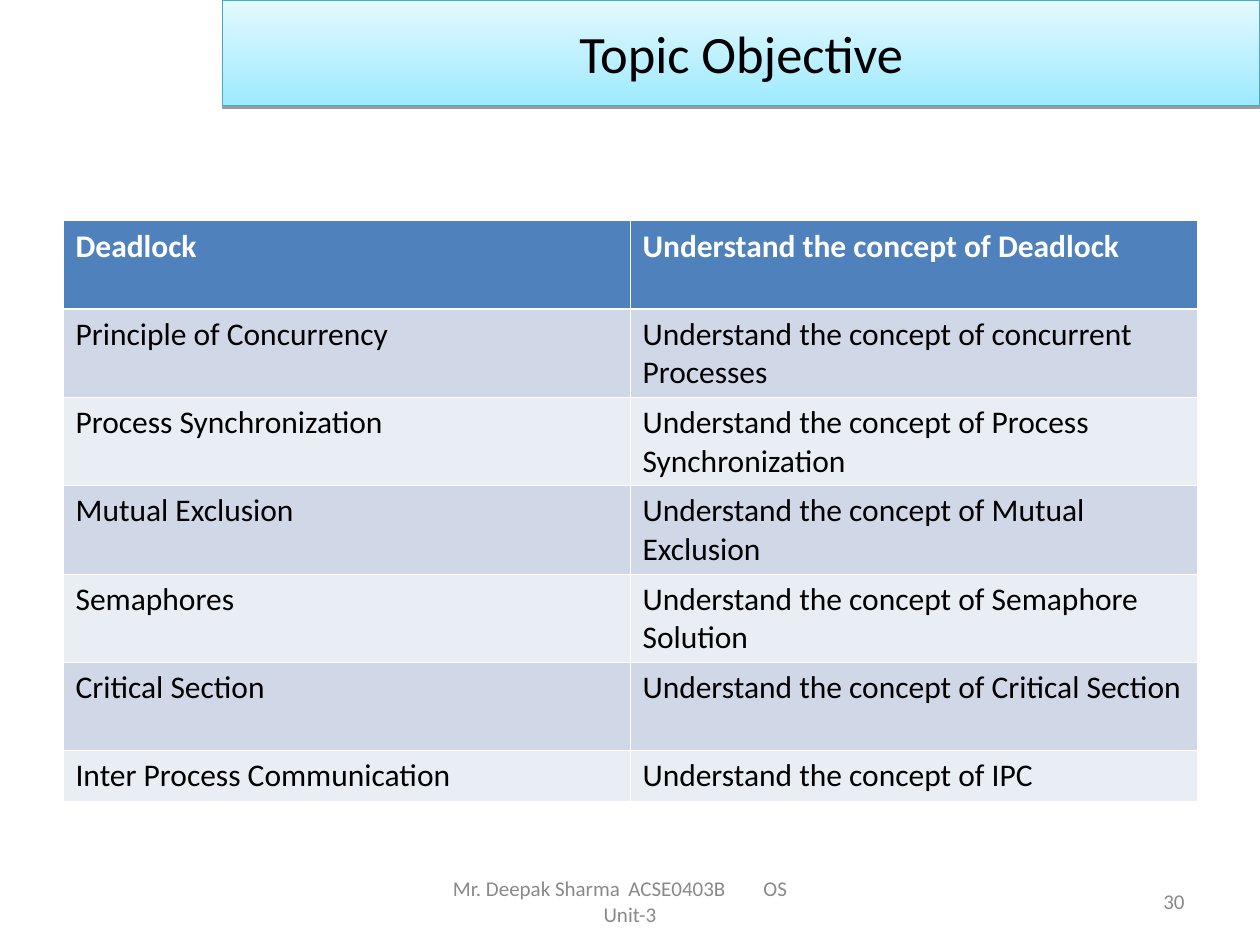
from pptx import Presentation
from pptx.dml.color import RGBColor
from pptx.enum.shapes import MSO_SHAPE
from pptx.enum.text import MSO_ANCHOR, PP_ALIGN
from pptx.oxml import parse_xml
from pptx.oxml.ns import nsdecls
from pptx.util import Cm, Pt

FONT = "Calibri"
BLACK = RGBColor(0x00, 0x00, 0x00)
WHITE = RGBColor(0xFF, 0xFF, 0xFF)
GREY = RGBColor(0x89, 0x89, 0x89)
TEAL = RGBColor(0x46, 0xAA, 0xC5)
AQUA = RGBColor(0x9E, 0xEA, 0xFF)
PALE_AQUA = RGBColor(0xE4, 0xF9, 0xFF)
HEADER_BLUE = RGBColor(0x4F, 0x81, 0xBD)
BANDS = (RGBColor(0xE9, 0xED, 0xF4), RGBColor(0xD0, 0xD8, 0xE8))

OBJECTIVES = [
    ("Deadlock", "Understand the concept of Deadlock"),
    ("Principle of Concurrency", "Understand the concept of concurrent Processes"),
    ("Process Synchronization", "Understand the concept of Process Synchronization"),
    ("Mutual Exclusion", "Understand the concept of Mutual Exclusion"),
    ("Semaphores", "Understand the concept of Semaphore Solution"),
    ("Critical Section", "Understand the concept of Critical Section"),
    ("Inter Process Communication", "Understand the concept of IPC"),
]


def style(p, size, color, align=PP_ALIGN.LEFT, bold=False):
    """Set the alignment and font of a paragraph."""
    p.alignment = align
    p.font.name = FONT
    p.font.size = Pt(size)
    p.font.bold = bold
    p.font.color.rgb = color


def add_title(s, text, x, y, w, h):
    """Draw the gradient title bar with its hard drop shadow."""
    sp = s.shapes.add_shape(MSO_SHAPE.RECTANGLE, x, y, w, h)
    sp.fill.gradient()
    sp.fill.gradient_angle = 90
    for stop, color in zip(sp.fill.gradient_stops, (AQUA, PALE_AQUA)):
        stop.color.rgb = color
    sp.line.color.rgb = TEAL
    sp.line.width = Pt(0.75)
    sp.shadow.inherit = False
    effects = sp._element.spPr.find("{*}effectLst")
    effects.append(parse_xml(
        f'<a:outerShdw {nsdecls("a")} blurRad="0" dist="{Pt(1.6)}" dir="5400000" rotWithShape="0">'
        '<a:srgbClr val="000000"><a:alpha val="38000"/></a:srgbClr></a:outerShdw>'))
    tf = sp.text_frame
    tf.vertical_anchor = MSO_ANCHOR.MIDDLE
    p = tf.paragraphs[0]
    p.text = text
    style(p, 30, BLACK, PP_ALIGN.CENTER)


def set_borders(cell, widths):
    """Give a cell white borders, with widths in points by side."""
    tcPr = cell._tc.get_or_add_tcPr()
    for i, side in enumerate("LRTB"):
        tcPr.insert(i, parse_xml(
            f'<a:ln{side} {nsdecls("a")} w="{Pt(widths.get(side, 0.45))}">'
            f'<a:solidFill><a:srgbClr val="{WHITE}"/></a:solidFill></a:ln{side}>'))


def add_objectives(s, rows, x, y, w, row_h, last_h):
    """Draw the banded two-column table of topics and objectives."""
    h = row_h * (len(rows) - 1) + last_h
    table = s.shapes.add_table(len(rows), 2, x, y, w, h).table
    table.first_row = table.horz_banding = False
    heavy_sides = {0: {"B": 1.47}, 1: {"T": 1.47}}
    for i, texts in enumerate(rows):
        table.rows[i].height = row_h if i < len(rows) - 1 else last_h
        header = i == 0
        for cell, text in zip(table.rows[i].cells, texts):
            cell.fill.solid()
            cell.fill.fore_color.rgb = HEADER_BLUE if header else BANDS[i % 2]
            set_borders(cell, heavy_sides.get(i, {}))
            p = cell.text_frame.paragraphs[0]
            p.text = text
            style(p, 18, WHITE if header else BLACK, bold=header)


def add_footer_box(s, lines, aligns, x, y, w, h, inset=Cm(0.25), tabs=()):
    """Draw one grey footer box, with one paragraph a line."""
    tf = s.shapes.add_textbox(x, y, w, h).text_frame
    tf.word_wrap = True
    tf.vertical_anchor = MSO_ANCHOR.MIDDLE
    tf.margin_left = tf.margin_right = inset
    for i, (line, align) in enumerate(zip(lines, aligns)):
        p = tf.add_paragraph() if i else tf.paragraphs[0]
        p.text = line
        if "\t" in line:
            stops = "".join(f'<a:tab pos="{pos}" algn="l"/>' for pos in tabs)
            p._p.get_or_add_pPr().append(
                parse_xml(f'<a:tabLst {nsdecls("a")}>{stops}</a:tabLst>'))
        style(p, 12, GREY, align)


def add_footer(s, y, h):
    """Place the course line and the slide number."""
    add_footer_box(s, ["Mr. Deepak Sharma\tACSE0403B\tOS", "Unit-3"],
                   [PP_ALIGN.LEFT, PP_ALIGN.CENTER], Cm(8.68), y, Cm(8.04), h,
                   Cm(0.45), (Cm(3.54), Cm(6.26)))
    add_footer_box(s, ["30"], [PP_ALIGN.RIGHT], Cm(18.2), y, Cm(5.93), h)


def main():
    """Build the slide and save it."""
    prs = Presentation()
    prs.slide_width, prs.slide_height = Cm(25.4), Cm(19.05)
    s = prs.slides.add_slide(prs.slide_layouts[6])
    add_footer(s, Cm(17.66), Cm(1.01))
    add_objectives(s, OBJECTIVES, Cm(1.27), Cm(4.45), Cm(22.86), Cm(1.78), Cm(1.02))
    add_title(s, "Topic Objective", Cm(4.49), Cm(0), Cm(20.91), Cm(2.13))
    prs.save("out.pptx")


if __name__ == "__main__":
    main()
